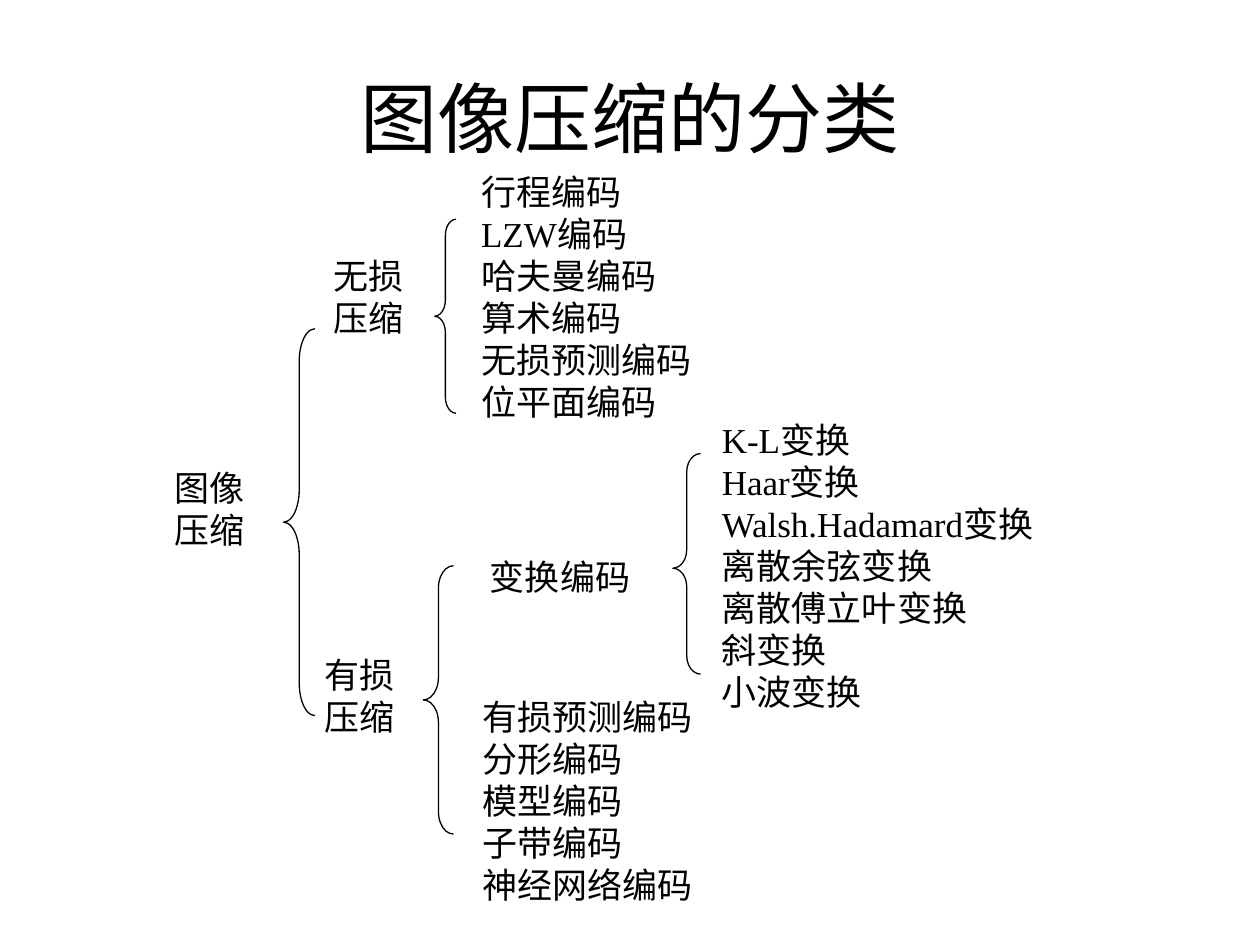
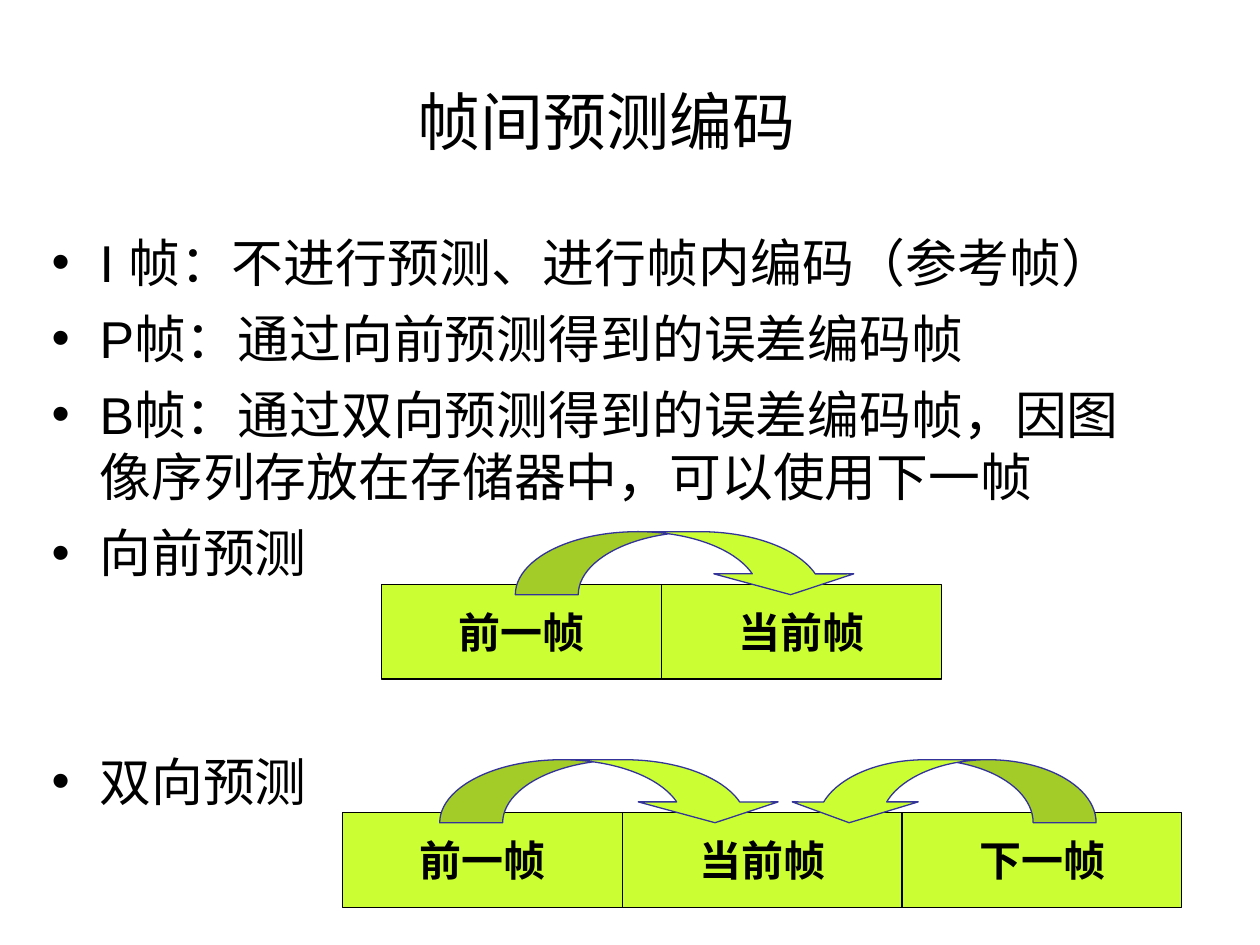
from lxml.etree import SubElement
from pptx import Presentation
from pptx.dml.color import RGBColor
from pptx.enum.shapes import MSO_SHAPE
from pptx.enum.text import MSO_ANCHOR, MSO_AUTO_SIZE, PP_ALIGN
from pptx.oxml.ns import qn
from pptx.util import Inches, Pt

BLACK = RGBColor(0x00, 0x00, 0x00)
LIME = RGBColor(0xCC, 0xFF, 0x33)
INDIGO = RGBColor(0x33, 0x33, 0x99)
HEADING_FONT = "Arial"
LABEL_FONT = "Times New Roman"

TITLE_ONLY_LAYOUT = 5
TITLE_BODY_LAYOUT = 1

BRACES = [
    ((2.25, 2.61, 0.25, 3.07), 0.5),
    ((3.45, 1.74, 0.17, 1.54), 0.5),
    ((3.36, 4.49, 0.24, 2.13), 0.5),
    ((5.34, 3.6, 0.22, 1.75), 0.52),
]
LABELS = [
    ((1.29, 3.65, 0.94, 0.98), ["图像压缩"]),
    ((2.48, 5.14, 0.84, 0.94), ["有损压缩"]),
    ((2.55, 1.97, 0.9, 0.91), ["无损压缩"]),
    ((3.72, 1.3, 2.28, 2.52),
     ["行程编码", "LZW编码", "哈夫曼编码", "算术编码", "无损预测编码", "位平面编码"]),
    ((3.73, 5.47, 1.98, 1.76),
     ["有损预测编码", "分形编码", "模型编码", "子带编码", "神经网络编码"]),
    ((3.79, 4.36, 1.48, 0.36), ["变换编码"]),
    ((5.63, 3.27, 3.08, 2.43),
     ["K-L变换", "Haar变换", "Walsh.Hadamard变换", "离散余弦变换",
      "离散傅立叶变换", "斜变换", "小波变换"]),
]
BULLETS = [
    ("I 帧：不进行预测、进行帧内编码（参考帧）", 0),
    ("P帧：通过向前预测得到的误差编码帧", 8),
    ("B帧：通过双向预测得到的误差编码帧，因图像序列存放在存储器中，可以使用下一帧", 8),
    ("向前预测", 8),
    ("双向预测", 95),
]
FRAME_WIDTH, FRAME_HEIGHT = 2.22, 0.75
ARROW_RISE, ARROW_HEIGHT = 0.42, 0.5


def inches(box):
    return [Inches(length) for length in box]


def format_runs(paragraph, font_name, size, bold=False):
    for run in paragraph.runs:
        run.font.name = font_name
        run.font.size = Pt(size)
        run.font.bold = bold
        run.font.color.rgb = BLACK


def place(shape, box):
    shape.left, shape.top, shape.width, shape.height = inches(box)


def set_title(slide, text, box, size):
    title = slide.shapes.title
    place(title, box)
    title.text_frame.text = text
    title.text_frame.auto_size = MSO_AUTO_SIZE.NONE
    title.text_frame.vertical_anchor = MSO_ANCHOR.MIDDLE
    paragraph = title.text_frame.paragraphs[0]
    paragraph.alignment = PP_ALIGN.CENTER
    format_runs(paragraph, HEADING_FONT, size)


def add_outlined(slide, kind, box, fill, line):
    shape = slide.shapes.add_shape(kind, *inches(box))
    shape.shadow.inherit = False
    if fill is None:
        shape.fill.background()
    else:
        shape.fill.solid()
        shape.fill.fore_color.rgb = fill
    shape.line.color.rgb = line
    shape.line.width = Pt(0.75)
    return shape


def add_brace(slide, box, point):
    brace = add_outlined(slide, MSO_SHAPE.LEFT_BRACE, box, None, BLACK)
    brace.adjustments[0] = box[3] / 12 / box[2]
    brace.adjustments[1] = point


def add_label(slide, box, lines):
    label = slide.shapes.add_textbox(*inches(box))
    label.text_frame.word_wrap = True
    label.text_frame.text = "\n".join(lines)
    for paragraph in label.text_frame.paragraphs:
        format_runs(paragraph, LABEL_FONT, 20)


def add_bullets(slide, box):
    body = slide.placeholders[1]
    place(body, box)
    body.text_frame.auto_size = MSO_AUTO_SIZE.NONE
    body.text_frame.text = "\n".join(text for text, _ in BULLETS)
    for paragraph, (_, space) in zip(body.text_frame.paragraphs, BULLETS):
        paragraph.space_before = Pt(space)
        properties = paragraph._p.get_or_add_pPr()
        properties.set("marL", str(Inches(0.38)))
        properties.set("indent", str(Inches(-0.38)))
        SubElement(properties, qn("a:buChar")).set("char", "•")
        format_runs(paragraph, HEADING_FONT, 29.6)


def add_frame_row(slide, left, top, names):
    for index, name in enumerate(names):
        box = (left + index * FRAME_WIDTH, top, FRAME_WIDTH, FRAME_HEIGHT)
        frame = add_outlined(slide, MSO_SHAPE.RECTANGLE, box, LIME, BLACK)
        frame.text_frame.word_wrap = False
        frame.text_frame.text = name
        frame.text_frame.vertical_anchor = MSO_ANCHOR.MIDDLE
        paragraph = frame.text_frame.paragraphs[0]
        paragraph.alignment = PP_ALIGN.CENTER
        format_runs(paragraph, LABEL_FONT, 24, bold=True)


def add_prediction_arrow(slide, left, row_top, width, head_width, backward=False):
    box = (left, row_top - ARROW_RISE, width, ARROW_HEIGHT)
    arrow = add_outlined(slide, MSO_SHAPE.CURVED_DOWN_ARROW, box, LIME, INDIGO)
    arrow.adjustments[0] = 1.0
    arrow.adjustments[1] = head_width / ARROW_HEIGHT
    arrow.adjustments[2] = 0.33
    if backward:
        arrow._element.spPr.find(qn("a:xfrm")).set("flipH", "1")


def build_classification(presentation):
    slide = presentation.slides.add_slide(presentation.slide_layouts[TITLE_ONLY_LAYOUT])
    set_title(slide, "图像压缩的分类", (0.5, 0.3, 9, 1.25), 44)
    for box, point in BRACES:
        add_brace(slide, box, point)
    for box, lines in LABELS:
        add_label(slide, box, lines)


def build_prediction(presentation):
    slide = presentation.slides.add_slide(presentation.slide_layouts[TITLE_BODY_LAYOUT])
    set_title(slide, "帧间预测编码", (0.31, 0.33, 9, 1.25), 36)
    add_bullets(slide, (0.31, 1.78, 9, 4.95))
    forward_top, both_top = 4.64, 6.45
    add_frame_row(slide, 3.03, forward_top, ["前一帧", "当前帧"])
    add_prediction_arrow(slide, 4.09, forward_top, 2.74, 1.11)
    add_frame_row(slide, 2.72, both_top, ["前一帧", "当前帧", "下一帧"])
    add_prediction_arrow(slide, 3.49, both_top, 2.74, 1.11)
    add_prediction_arrow(slide, 6.24, both_top, 2.46, 1.0, backward=True)


def main():
    presentation = Presentation()
    presentation.slide_width = Inches(10)
    presentation.slide_height = Inches(7.5)
    build_classification(presentation)
    build_prediction(presentation)
    presentation.save("out.pptx")


if __name__ == "__main__":
    main()
